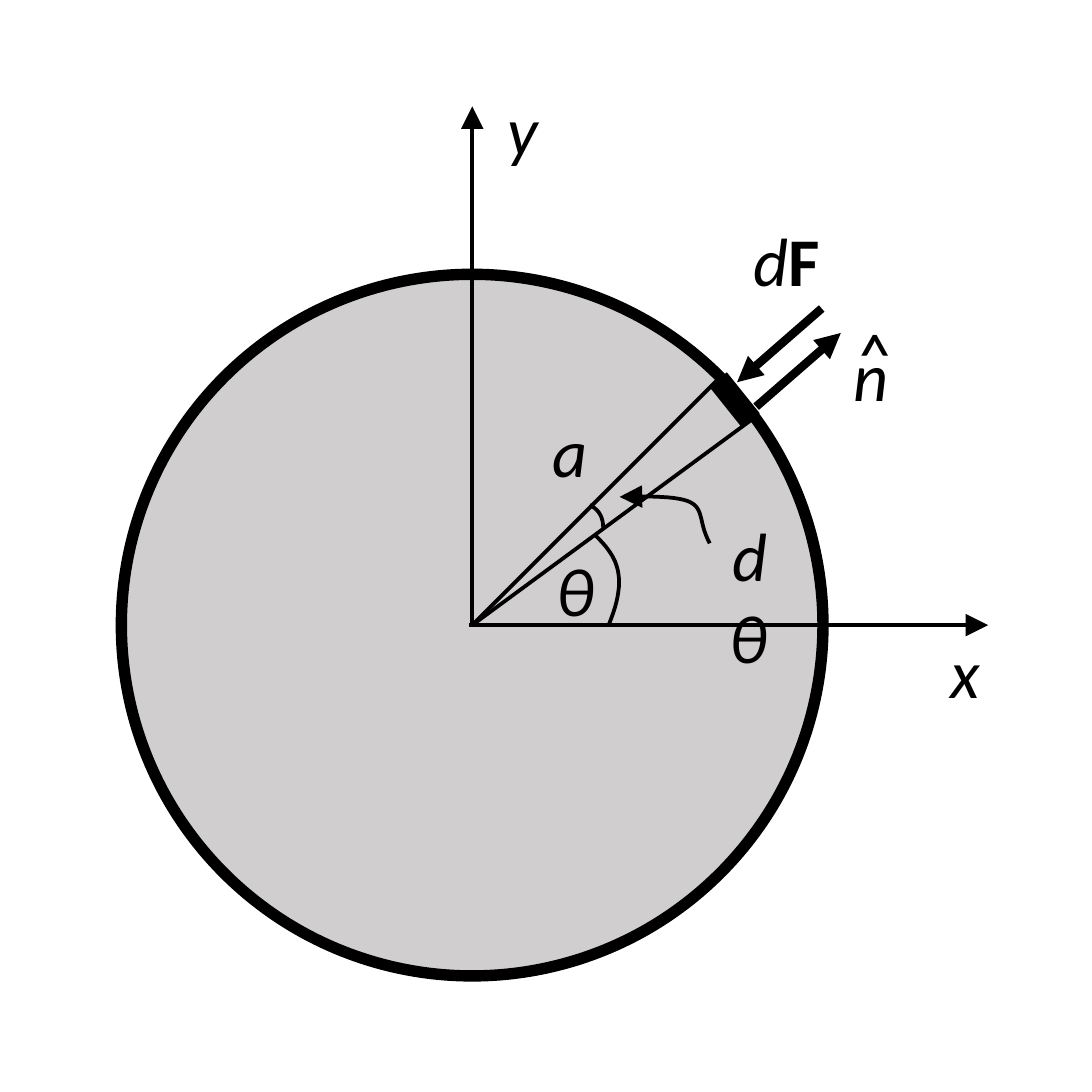
from dataclasses import dataclass

from lxml import etree
from pptx import Presentation
from pptx.dml.color import RGBColor
from pptx.enum.shapes import MSO_CONNECTOR, MSO_SHAPE
from pptx.enum.text import MSO_AUTO_SIZE, PP_ALIGN
from pptx.oxml.ns import qn
from pptx.util import Inches, Pt

STRAIGHT = MSO_CONNECTOR.STRAIGHT
OVAL = MSO_SHAPE.OVAL
FIT_SHAPE = MSO_AUTO_SIZE.SHAPE_TO_FIT_TEXT
LEFT, RIGHT = PP_ALIGN.LEFT, PP_ALIGN.RIGHT
BLACK, GRAY = "000000", "D0CECE"
FONT = "Calibri"
FONT_SIZE = 18
LABEL_HEIGHT = 0.4
CURVE_STEPS = 24

Point = tuple[float, float]


@dataclass(frozen=True)
class Line:
    start: Point
    end: Point
    weight: float = 1
    arrow: bool = False


@dataclass(frozen=True)
class Curve:
    points: tuple[Point, Point, Point, Point]
    arrow: bool = False


@dataclass(frozen=True)
class Label:
    left: float
    top: float
    width: float
    italic: str
    bold: str = ""
    align: PP_ALIGN = RIGHT
    wrap: bool = False


ORIGIN = (1.73, 2.29)
RADIUS = 1.285
ARC_START, ARC_END = (2.63, 1.39), (2.75, 1.54)

LINES = [
    Line(ORIGIN, (1.73, 0.39), arrow=True),
    Line((1.72, 2.29), (3.62, 2.29), arrow=True),
    Line(ORIGIN, ARC_START),
    Line(ORIGIN, ARC_END),
    Line(ARC_START, ARC_END, weight=6),
    Line((2.77, 1.49), (3.08, 1.22), weight=2.25, arrow=True),
    Line((3.01, 1.13), (2.7, 1.4), weight=2.25, arrow=True),
]
CURVES = [
    Curve(((2.18, 1.96), (2.25, 2.03), (2.31, 2.1), (2.23, 2.29))),
    Curve(((2.16, 1.85), (2.2, 1.87), (2.21, 1.9), (2.21, 1.94))),
    Curve(((2.6, 1.99), (2.53, 1.86), (2.64, 1.81), (2.27, 1.82)), arrow=True),
]
LABELS = [
    Label(1.74, 0.27, 0.33, "y"),
    Label(3.37, 2.26, 0.32, "x"),
    Label(1.92, 1.45, 0.33, "a"),
    Label(1.94, 1.96, 0.31, "θ"),
    Label(2.47, 1.83, 0.44, "dθ", wrap=True),
    Label(2.64, 0.75, 0.46, "d", bold="F"),
    Label(3.03, 1.17, 0.33, "n", align=LEFT),
    Label(3.04, 1.1, 0.33, "^", align=LEFT),
]


def color(value: str) -> RGBColor:
    return RGBColor.from_string(value)


def style_line(shape, weight: float, arrow: bool = False) -> None:
    shape.line.width = Pt(weight)
    shape.line.color.rgb = color(BLACK)
    if arrow:
        outline = shape._element.spPr.find(qn("a:ln"))
        etree.SubElement(outline, qn("a:tailEnd"), type="triangle")


def draw_disk(slide) -> None:
    left, top = (Inches(center - RADIUS) for center in ORIGIN)
    disk = slide.shapes.add_shape(OVAL, left, top, Inches(2 * RADIUS), Inches(2 * RADIUS))
    disk.shadow.inherit = False
    disk.fill.solid()
    disk.fill.fore_color.rgb = color(GRAY)
    style_line(disk, 3)


def draw_line(slide, line: Line) -> None:
    ends = [Inches(value) for value in line.start + line.end]
    connector = slide.shapes.add_connector(STRAIGHT, *ends)
    style_line(connector, line.weight, line.arrow)
    etree.SubElement(connector._element.spPr, qn("a:effectLst"))


def curve_point(curve: Curve, step: int) -> Point:
    t = step / CURVE_STEPS
    weights = ((1 - t) ** 3, 3 * t * (1 - t) ** 2, 3 * t**2 * (1 - t), t**3)
    x, y = (
        Inches(sum(weight * value for weight, value in zip(weights, values)))
        for values in zip(*curve.points)
    )
    return x, y


def draw_curve(slide, curve: Curve) -> None:
    start, *rest = [curve_point(curve, step) for step in range(CURVE_STEPS + 1)]
    builder = slide.shapes.build_freeform(*start)
    builder.add_line_segments(rest, close=False)
    shape = builder.convert_to_shape()
    shape.shadow.inherit = False
    shape.fill.background()
    style_line(shape, 1, curve.arrow)


def add_run(paragraph, text: str, bold: bool) -> None:
    run = paragraph.add_run()
    run.text = text
    run.font.name = FONT
    run.font.size = Pt(FONT_SIZE)
    run.font.color.rgb = color(BLACK)
    run.font.bold = bold
    run.font.italic = not bold


def draw_label(slide, label: Label) -> None:
    box = slide.shapes.add_textbox(
        Inches(label.left), Inches(label.top), Inches(label.width), Inches(LABEL_HEIGHT)
    )
    frame = box.text_frame
    frame.word_wrap = label.wrap
    frame.auto_size = FIT_SHAPE
    paragraph = frame.paragraphs[0]
    paragraph.alignment = label.align
    add_run(paragraph, label.italic, bold=False)
    if label.bold:
        add_run(paragraph, label.bold, bold=True)


def main() -> None:
    presentation = Presentation()
    presentation.slide_width = presentation.slide_height = Inches(4)
    slide = presentation.slides.add_slide(presentation.slide_layouts[6])
    draw_disk(slide)
    for line in LINES:
        draw_line(slide, line)
    for curve in CURVES:
        draw_curve(slide, curve)
    for label in LABELS:
        draw_label(slide, label)
    presentation.save("out.pptx")


main()
